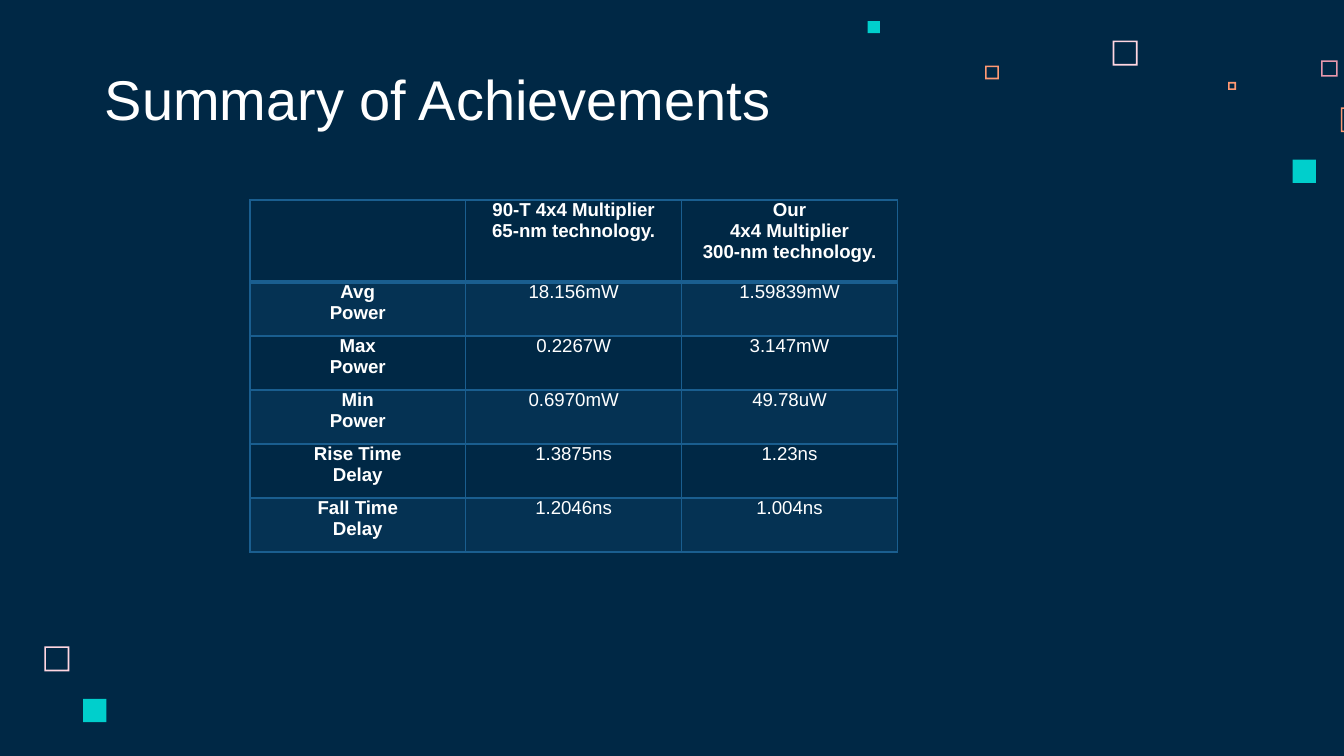
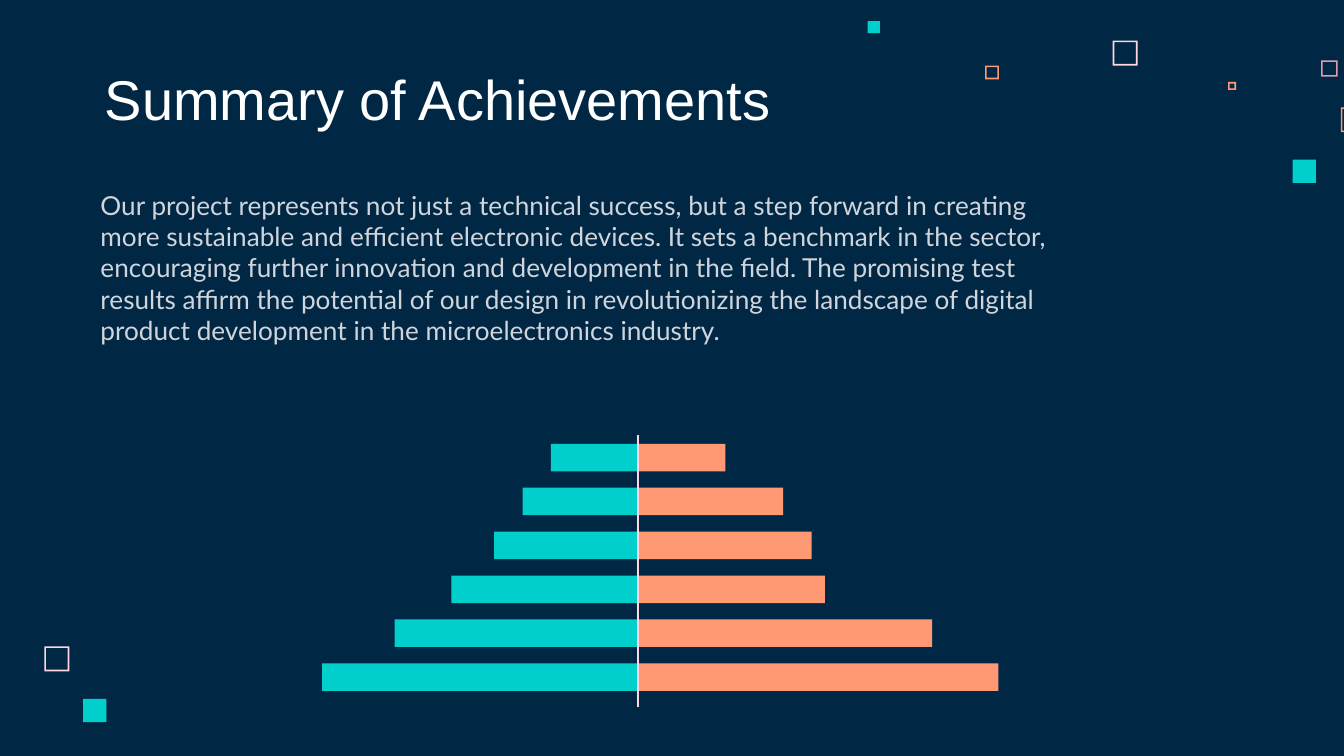
from dataclasses import dataclass

from pptx import Presentation
from pptx.dml.color import RGBColor as RGB
from pptx.enum.shapes import MSO_CONNECTOR as CONN, MSO_SHAPE as SHAPE
from pptx.enum.text import MSO_ANCHOR as ANCHOR, MSO_AUTO_SIZE as AUTO, PP_ALIGN as ALIGN
from pptx.oxml import parse_xml
from pptx.oxml.ns import nsdecls, qn
from pptx.util import Cm, Pt
from lxml.etree import SubElement


@dataclass(frozen=True)
class Theme:
    navy: str = "002845"
    blue: str = "1A5E8F"
    teal: str = "00CFCC"
    orange: str = "FF9973"
    blush: str = "FFD6E1"
    rose: str = "E898AC"
    white: str = "FFFFFF"
    grey: str = "D1D5DB"
    head_font: str = "Arial"
    body_font: str = "Lato"
    title_size: int = 30
    body_size: int = 14
    table_size: int = 10


theme = Theme()


def style_font(font, color, **values):
    for name, value in values.items():
        setattr(font, name, value)
    font.color.rgb = RGB.from_string(color)


def add_block(shapes, kind, x, y, w, h, color):
    sp = shapes.add_shape(kind, Cm(x), Cm(y), Cm(w), Cm(h))
    sp.shadow.inherit = False
    sp.fill.solid()
    sp.fill.fore_color.rgb = RGB.from_string(color)
    sp.line.fill.background()
    return sp


prs = Presentation()
prs.slide_width, prs.slide_height = Cm(25.4), Cm(14.29)
bg = prs.slide_master.background.fill
bg.solid()
bg.fore_color.rgb = RGB.from_string(theme.navy)

# Scattered squares: left, top, side, colour, hollow
squares = [
    (21.03, 0.77, 0.47, theme.blush, True),
    (24.97, 1.14, 0.31, theme.rose, True),
    (23.21, 1.55, 0.15, theme.orange, True),
    (25.34, 2.03, 0.47, theme.orange, True),
    (24.43, 3.02, 0.44, theme.teal, False),
    (18.62, 1.24, 0.26, theme.orange, True),
    (16.4, 0.4, 0.23, theme.teal, False),
    (0.84, 12.22, 0.47, theme.blush, True),
    (1.57, 13.21, 0.44, theme.teal, False),
]
rim = 0.03

# What both slides share: squares and title
slides = []
for _ in range(2):
    s = prs.slides.add_slide(prs.slide_layouts[5])
    for x, y, side, color, hollow in squares:
        sp = add_block(s.shapes, SHAPE.FRAME if hollow else SHAPE.RECTANGLE, x, y, side, side, color)
        if hollow:
            sp.adjustments[0] = rim / side
    title = s.shapes.title
    title.left, title.top, title.width, title.height = Cm(1.73), Cm(1.14), Cm(13.13), Cm(1.6)
    tf = title.text_frame
    tf.text = "Summary of Achievements"
    frame_format = dict(auto_size=AUTO.NONE, word_wrap=True, vertical_anchor=ANCHOR.BOTTOM,
                        margin_left=Cm(0.25), margin_right=Cm(0.25),
                        margin_top=Cm(0.25), margin_bottom=Cm(0.25))
    for name, value in frame_format.items():
        setattr(tf, name, value)
    p = tf.paragraphs[0]
    p.alignment = ALIGN.LEFT
    style_font(p.runs[0].font, theme.white, size=Pt(theme.title_size), name=theme.head_font)
    slides.append(s)

# Slide 1: comparison table
rows = [
    ("", "90-T 4x4 Multiplier\n65-nm technology.", "Our\n4x4 Multiplier\n300-nm technology."),
    ("Avg\nPower", "18.156mW", "1.59839mW"),
    ("Max\nPower", "0.2267W", "3.147mW"),
    ("Min\nPower", "0.6970mW", "49.78uW"),
    ("Rise Time\nDelay", "1.3875ns", "1.23ns"),
    ("Fall Time\nDelay", "1.2046ns", "1.004ns"),
]
head_h, row_h, col_w = 1.55, 1.02, 4.08
table = slides[0].shapes.add_table(
    len(rows), 3, Cm(4.72), Cm(3.78), Cm(3 * col_w), Cm(head_h + 5 * row_h)).table
table.first_row = table.horz_banding = False
for col in table.columns:
    col.width = Cm(col_w)
cell_format = dict(margin_left=Cm(0.18), margin_right=Cm(0.18), margin_top=0, margin_bottom=0,
                   vertical_anchor=ANCHOR.TOP)
for i, row in enumerate(rows):
    table.rows[i].height = Cm(row_h if i else head_h)
    for j, text in enumerate(row):
        cell = table.cell(i, j)
        for name, value in cell_format.items():
            setattr(cell, name, value)
        cell.text = text
        for p in cell.text_frame.paragraphs:
            p.alignment = ALIGN.CENTER
            style_font(p.font, theme.white, size=Pt(theme.table_size), name=theme.head_font)
            for r in p.runs:
                style_font(r.font, theme.white, size=Pt(theme.table_size),
                           name=theme.head_font, bold=i == 0 or j == 0)

        # Borders, with a thicker rule under the header
        tcPr = cell._tc.get_or_add_tcPr()
        for edge in "LRTB":
            under_head = (i, edge) in ((0, "B"), (1, "T"))
            tcPr.append(parse_xml(
                f'<a:ln{edge} {nsdecls("a")} w="{Pt(2 if under_head else 1)}"><a:solidFill>'
                f'<a:srgbClr val="{theme.blue}"/></a:solidFill></a:ln{edge}>'))

        # Odd rows carry a translucent band
        if i % 2:
            cell.fill.solid()
            cell.fill.fore_color.rgb = RGB.from_string(theme.blue)
            clr = tcPr.find(qn("a:solidFill")).find(qn("a:srgbClr"))
            SubElement(clr, qn("a:alpha")).set("val", "20000")
        else:
            cell.fill.background()

# Slide 2: closing paragraph
s = slides[1]
tf = s.shapes.add_textbox(Cm(1.65), Cm(3.45), Cm(18.42), Cm(3.84)).text_frame
tf.word_wrap = True
r = tf.paragraphs[0].add_run()
r.text = (
    "Our project represents not just a technical success, but a step forward in creating more "
    "sustainable and efficient electronic devices. It sets a benchmark in the sector, encouraging "
    "further innovation and development in the field. The promising test results affirm the "
    "potential of our design in revolutionizing the landscape of digital product development in "
    "the microelectronics industry.")
style_font(r.font, theme.grey, size=Pt(theme.body_size), name=theme.body_font)

# Slide 2: pyramid of paired bars, left and right widths from top to bottom
bars = [(1.65, 1.65), (2.18, 2.74), (2.72, 3.28), (3.53, 3.53), (4.6, 5.56), (5.97, 6.81)]
axis_x, bar_top, bar_pitch, bar_h = 12.06, 8.39, 0.83, 0.52
pyramid = s.shapes.add_group_shape().shapes
for i, (left_w, right_w) in enumerate(bars):
    y = bar_top + i * bar_pitch
    add_block(pyramid, SHAPE.RECTANGLE, axis_x, y, right_w, bar_h, theme.orange)
    add_block(pyramid, SHAPE.RECTANGLE, axis_x - left_w, y, left_w, bar_h, theme.teal)
axis = pyramid.add_connector(CONN.STRAIGHT, Cm(axis_x), Cm(8.23), Cm(axis_x), Cm(13.36))
axis.line.width = Pt(0.75)
axis.line.color.rgb = RGB.from_string(theme.blush)
SubElement(axis._element.spPr, qn("a:effectLst"))

prs.save("out.pptx")
